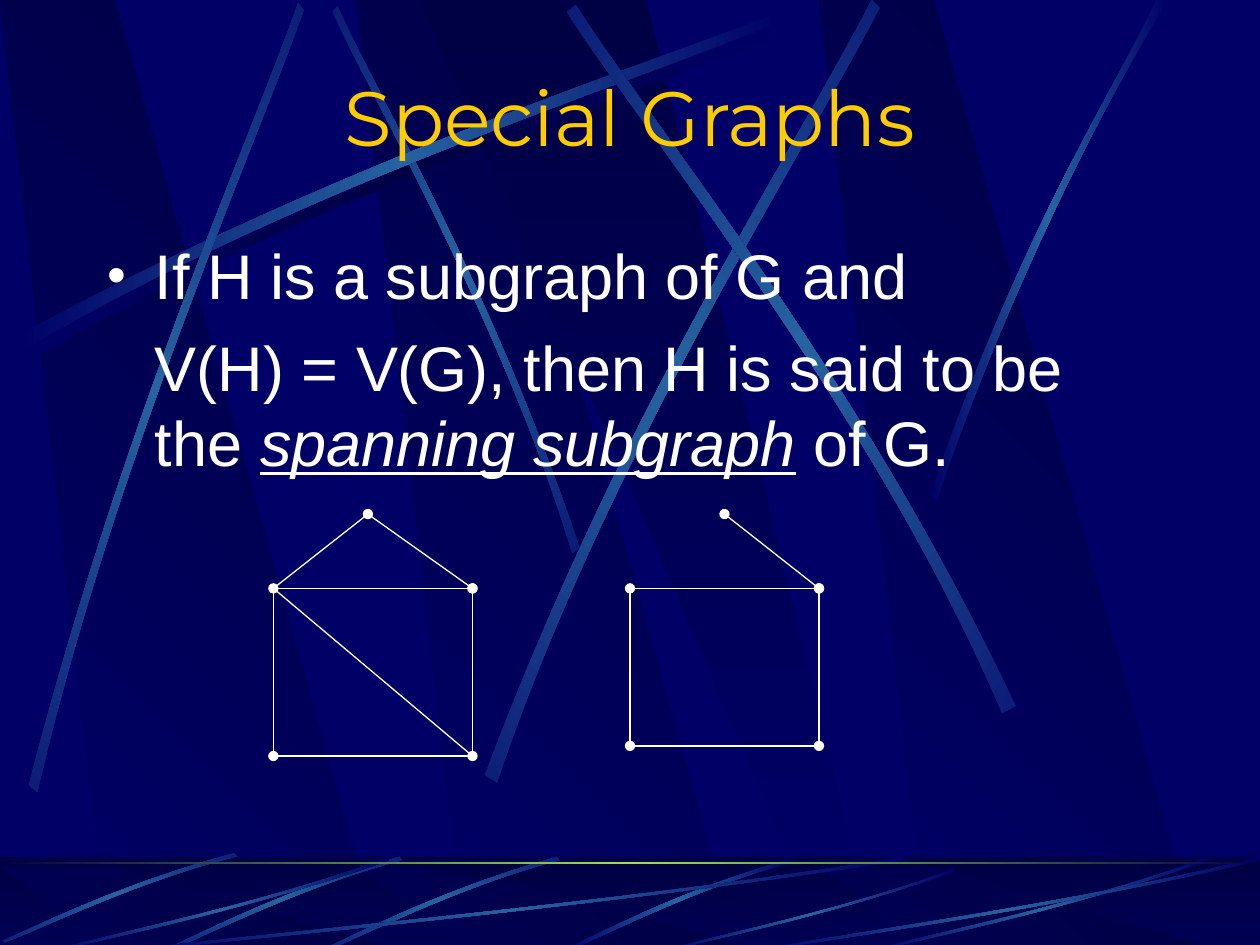
from copy import deepcopy
from math import cos, radians, sin

from lxml import etree
from pptx import Presentation
from pptx.dml.color import RGBColor
from pptx.enum.shapes import MSO_CONNECTOR, MSO_SHAPE
from pptx.enum.text import MSO_ANCHOR, PP_ALIGN
from pptx.oxml.ns import qn
from pptx.util import Inches, Pt

RECT = MSO_SHAPE.RECTANGLE
LINE = MSO_CONNECTOR.STRAIGHT
MIDDLE = MSO_ANCHOR.MIDDLE
TOP = MSO_ANCHOR.TOP
CENTER = PP_ALIGN.CENTER
LEFT = PP_ALIGN.LEFT

NAVY = RGBColor(0x00, 0x00, 0x66)
DARK = RGBColor(0x00, 0x00, 0x44)
STEEL = RGBColor(0x26, 0x63, 0xA0)
LIME = RGBColor(0x9C, 0xE1, 0x57)
GOLD = RGBColor(0xFF, 0xCC, 0x00)
WHITE = RGBColor(0xFF, 0xFF, 0xFF)

WIDE, TALL = 10, 7.5
CELL = 1 / 12

GLOW = (NAVY, STEEL, NAVY)
SHADE = (NAVY, DARK, NAVY)

ARC = ((0, .99), (.35, .52), (.81, .17), (.98, 0),
       (1, .01), (.84, .17), (.31, .58), (.03, 1))
BOW = tuple((1 - x, y) for x, y in ARC)
GLIDE = ((0, .96), (.43, .43), (.83, .15), (.99, 0),
         (1, .02), (.83, .19), (.38, .5), (.01, 1))
HORN = ((0, .99), (.4, .44), (.79, .17), (.95, 0),
        (1, 0), (.52, .37), (.16, .81), (.03, 1))
RISE = ((.99, 0), (.51, .34), (.16, .8), (0, .98),
        (.01, 1), (.18, .83), (.59, .3), (1, .04))
SWEEP = ((1, .04), (.57, .57), (.17, .85), (.01, 1),
         (0, .99), (.17, .81), (.62, .51), (1, 0))

STREAKS = (
    ((.2, .18, 6.09, 2.67), GLIDE, SHADE, 0),
    ((2.64, .05, 1.96, 4.34), BOW, GLOW, 45),
    ((.14, .1, 6.09, 2.67), GLIDE, GLOW, 0),
    ((.23, .02, 2.18, 6.27), ARC, GLOW, 311.7),
    ((3.85, 0, 3.13, 6.21), ARC, GLOW, 321.6),
    ((4.5, .04, 3.56, 5.62), BOW, GLOW, 34.8),
    ((7.38, 0, 1.89, 3.97), HORN, GLOW, 0),
)
RIPPLES = (
    ((4.48, .02, 1.8, .73), RISE, 0),
    ((2.56, 0, 1.88, .75), RISE, 314.9),
    ((1.31, 0, 1.88, .75), RISE, 314.9),
    ((.02, -.03, 1.86, .71), RISE, 314.9),
    ((1, 0, 6.17, .75), SWEEP, 0),
    ((.42, 0, 2.67, .75), SWEEP, 0),
    ((5.27, .09, 2.31, .66), SWEEP, 0),
    ((6.92, 0, 2.67, .75), SWEEP, 0),
    ((6, 0, 4, .75), SWEEP, 0),
)
HOUSE = (("left", "right", False), ("left", "low", True),
         ("low", "far", False), ("far", "right", True),
         ("left", "peak", False), ("right", "peak", True),
         ("left", "far", False))
SPAN = (("left", "right", True), ("left", "low", False),
        ("low", "far", True), ("far", "right", False),
        ("right", "peak", True))


def shade(shape, tones, angle=0):
    """Fill a shape with evenly spaced gradient tones and no outline."""
    shape.shadow.inherit = False
    shape.line.fill.background()
    shape.fill.gradient()
    if len(tones) == 3:
        last = shape.fill._xPr.find(".//" + qn("a:gsLst"))[-1]
        last.addnext(deepcopy(last))
    stops = shape.fill.gradient_stops
    for spot, (stop, tone) in enumerate(zip(stops, tones)):
        stop.color.rgb = tone
        stop.position = spot / (len(tones) - 1)
    shape.fill.gradient_angle = -angle % 360


def outline(slide, points):
    """Draw a closed polygon through points given in inches."""
    dots = [(x * 1000, y * 1000) for x, y in points]
    pen = slide.shapes.build_freeform(*dots[0], scale=914.4)
    pen.add_line_segments(dots[1:], close=True)
    return pen.convert_to_shape()


def spin(x, y, angle):
    """Turn a vector clockwise by an angle in degrees."""
    c, s = cos(radians(angle)), sin(radians(angle))
    return x * c - y * s, x * s + y * c


def streak(slide, box, curve, tones, turn):
    """Draw one tapered streak of light inside a box, along a turned axis."""
    left, top, wide, tall = box
    mid, deep = left + wide / 2, top + tall / 2
    points = []
    for x, y in curve:
        dx, dy = spin((x - .5) * wide, (y - .5) * tall, -turn)
        points.append((mid + dx, deep + dy))
    shape = outline(slide, points)
    nodes = list(shape._element.find(".//" + qn("a:path")))
    for trio in (nodes[1:4], nodes[5:8]):
        arc = etree.Element(qn("a:cubicBezTo"))
        trio[0].addprevious(arc)
        for node in trio:
            arc.append(node[0])
            node.getparent().remove(node)
    dx = shape.left + shape.width / 2 - Inches(mid)
    dy = shape.top + shape.height / 2 - Inches(deep)
    nx, ny = spin(dx, dy, turn)
    shape.left += round(nx - dx)
    shape.top += round(ny - dy)
    shape.rotation = turn
    shade(shape, tones)


def panels(slide, top, tall):
    """Draw the four slanted panels across a strip."""
    base = top + tall
    for x in (2.83, 0, 6.5):
        shape = outline(slide, [(x + .86, base), (x + 3.02, base),
                                (x + .91, top), (x, top)])
        shade(shape, (NAVY, DARK), 315)
    shape = outline(slide, [(3.33, top), (6.58, base), (6.94, base), (5.13, top)])
    shade(shape, (DARK, NAVY), 90)


def bar(slide, top, tall):
    """Add a full-width rectangle."""
    return slide.shapes.add_shape(RECT, 0, Inches(top), Inches(WIDE), Inches(tall))


def sky(slide):
    """Draw the main backdrop."""
    fill = slide.background.fill
    fill.solid()
    fill.fore_color.rgb = NAVY
    panels(slide, 0, TALL)
    for item in STREAKS:
        streak(slide, *item)


def floor(slide, top, tall):
    """Draw the band at the foot of the slide."""
    shade(bar(slide, top, tall), (DARK, NAVY), 90)
    panels(slide, top + .08, tall - .08)
    veil = bar(slide, top, tall)
    veil.shadow.inherit = False
    veil.line.fill.background()
    veil.fill.solid()
    veil.fill.fore_color.rgb = DARK
    tone = veil.fill._xPr.find(".//" + qn("a:srgbClr"))
    etree.SubElement(tone, qn("a:alpha"), val="50000")
    for (x, y, wide, high), curve, turn in RIPPLES:
        streak(slide, (x, top + y, wide, high), curve, GLOW, turn)
    shade(bar(slide, top + .04, .02), (DARK, LIME, DARK))


def write(para, text, size, tone, face="Arial", slant=None):
    """Add one formatted run to a paragraph."""
    run = para.add_run()
    run.text = text
    font = run.font
    font.name, font.size, font.color.rgb = face, Pt(size), tone
    font.italic = font.underline = slant


def place(slide, shape, box):
    """Set a placeholder's box and bring it to the front."""
    shape.left, shape.top, shape.width, shape.height = map(Inches, box)
    slide.shapes._spTree.append(shape._element)
    return shape.text_frame


def head(slide, box):
    """Fill the title."""
    frame = place(slide, slide.shapes.title, box)
    frame.vertical_anchor = MIDDLE
    para = frame.paragraphs[0]
    para.alignment = CENTER
    write(para, "Special Graphs", 44, GOLD, "Montserrat")


def body(slide, box):
    """Fill the body with the definition."""
    frame = place(slide, slide.placeholders[1], box)
    frame.vertical_anchor = TOP
    first, second = frame.paragraphs[0], frame.add_paragraph()
    for para, indent, space in ((first, -.38, 0), (second, 0, 9)):
        props = para._p.get_or_add_pPr()
        props.set("marL", str(Inches(.38)))
        props.set("indent", str(Inches(indent)))
        para.alignment = LEFT
        para.space_before = Pt(space)
    props = first._p.pPr
    tint = etree.SubElement(props, qn("a:buClr"))
    etree.SubElement(tint, qn("a:srgbClr"), val=str(WHITE))
    etree.SubElement(props, qn("a:buSzPct"), val="85000")
    etree.SubElement(props, qn("a:buChar"), char="•")
    etree.SubElement(second._p.pPr, qn("a:buNone"))
    write(first, "If H is a subgraph of G and", 36, WHITE)
    write(second, "V(H) = V(G), then H is said to be the ", 36, WHITE)
    write(second, "spanning subgraph", 36, WHITE, slant=True)
    write(second, " of G.", 36, WHITE)


def graph(slide, left, top, wide, tall, edges):
    """Draw a house-shaped graph in a box of grid cells."""
    nodes = {"peak": (9, 0), "left": (0, 7), "right": (wide, 7),
             "low": (0, tall), "far": (wide, tall)}
    for one, two, dots in edges:
        ends = [Inches(round((start + step) * CELL, 2)) for name in (one, two)
                for start, step in zip((left, top), nodes[name])]
        link = slide.shapes.add_connector(LINE, *ends)
        link.line.color.rgb = WHITE
        link.line.width = Pt(.75)
        if dots:
            for tag in ("a:headEnd", "a:tailEnd"):
                etree.SubElement(link.line._ln, qn(tag), type="oval")
        etree.SubElement(link._element.spPr, qn("a:effectLst"))


def main():
    """Build and save the slide."""
    deck = Presentation()
    deck.slide_width, deck.slide_height = Inches(WIDE), Inches(TALL)
    slide = deck.slides.add_slide(deck.slide_layouts[1])
    sky(slide)
    floor(slide, 6.8, .7)
    head(slide, (.75, .5, 8.5, .83))
    body(slide, (.75, 1.83, 8.5, 4.5))
    graph(slide, 26, 49, 19, 23, HOUSE)
    graph(slide, 60, 49, 18, 22, SPAN)
    deck.save("out.pptx")


if __name__ == "__main__":
    main()
